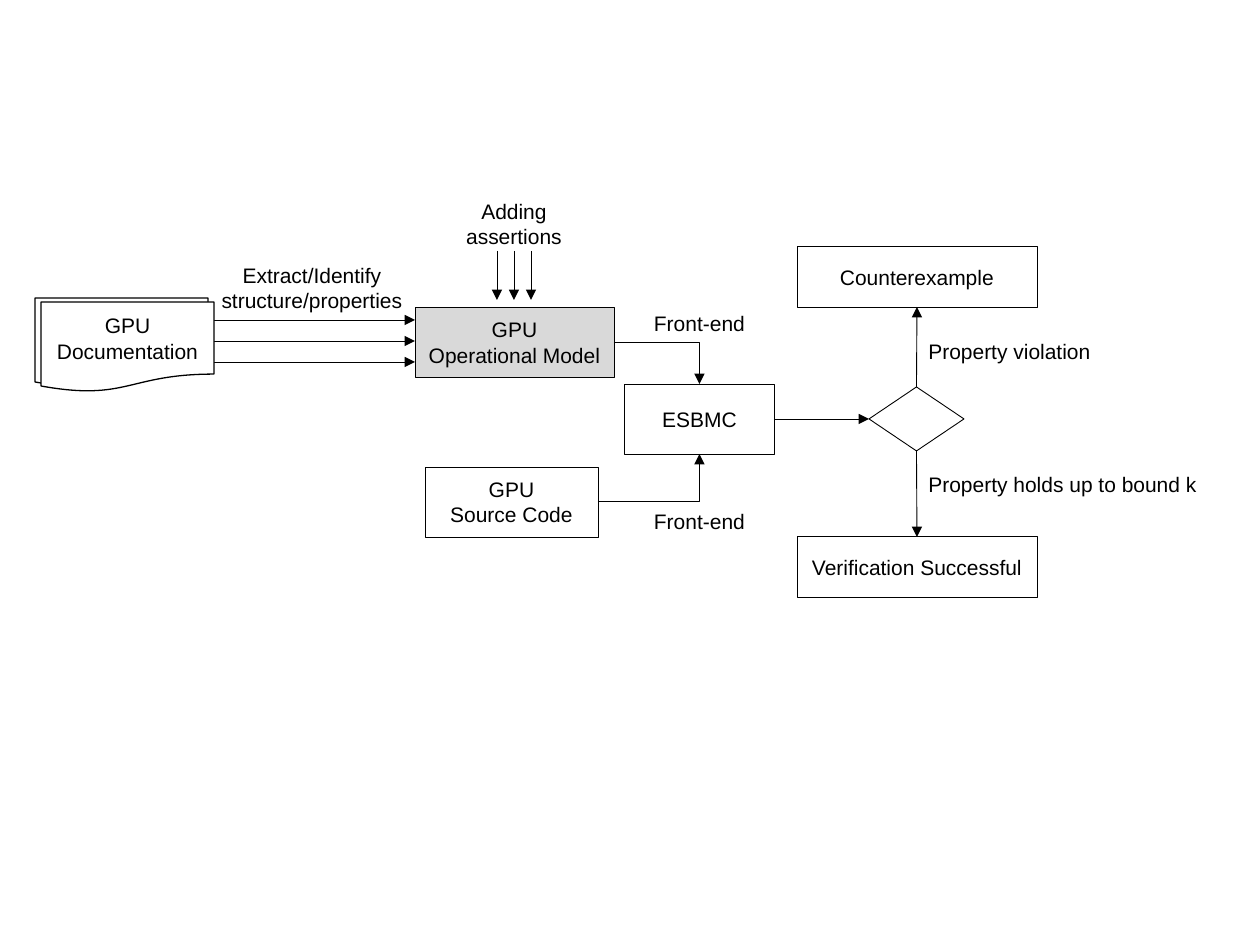
from lxml import etree
from pptx import Presentation
from pptx.dml.color import RGBColor
from pptx.enum.shapes import MSO_CONNECTOR, MSO_SHAPE
from pptx.enum.text import MSO_ANCHOR, MSO_AUTO_SIZE, PP_ALIGN
from pptx.oxml.ns import qn
from pptx.util import Emu, Pt

PROCESS = MSO_SHAPE.FLOWCHART_PROCESS
DECISION = MSO_SHAPE.FLOWCHART_DECISION
DOCUMENT = MSO_SHAPE.FLOWCHART_DOCUMENT
STRAIGHT, ELBOW = MSO_CONNECTOR.STRAIGHT, MSO_CONNECTOR.ELBOW
CENTER, LEFT = PP_ALIGN.CENTER, PP_ALIGN.LEFT
MIDDLE, TOP = MSO_ANCHOR.MIDDLE, MSO_ANCHOR.TOP
GROW = MSO_AUTO_SIZE.SHAPE_TO_FIT_TEXT
TOP_SIDE, LEFT_SIDE, BOTTOM_SIDE, RIGHT_SIDE = range(4)

PX_PER_INCH = 126
BLACK, WHITE, GREY = "000000", "FFFFFF", "D9D9D9"


def px(length):
    return Emu(round(length * 914400 / PX_PER_INCH))


def color(hex_string):
    return RGBColor.from_string(hex_string)


def write_text(shape, lines, alignment, anchor, wrap=True):
    frame = shape.text_frame
    frame.word_wrap = wrap
    frame.vertical_anchor = anchor
    for index, line in enumerate(lines):
        paragraph = frame.add_paragraph() if index else frame.paragraphs[0]
        paragraph.alignment = alignment
        run = paragraph.add_run()
        run.text = line
        run.font.name = "Arial"
        run.font.size = Pt(12)
        run.font.color.rgb = color(BLACK)


def add_node(slide, kind, box, lines=(), fill=WHITE, line_width=0.5):
    shape = slide.shapes.add_shape(kind, *map(px, box))
    shape.shadow.inherit = False
    shape.fill.solid()
    shape.fill.fore_color.rgb = color(fill)
    shape.line.color.rgb = color(BLACK)
    shape.line.width = Pt(line_width)
    write_text(shape, lines, CENTER, MIDDLE)
    return shape


def add_label(slide, box, text, alignment=CENTER, wrap=True):
    label = slide.shapes.add_textbox(*map(px, box))
    write_text(label, [text], alignment, TOP, wrap)
    label.text_frame.auto_size = GROW


def add_arrow(slide, start=(0, 0), end=(0, 0), kind=STRAIGHT):
    arrow = slide.shapes.add_connector(kind, *map(px, (*start, *end)))
    arrow.line.color.rgb = color(BLACK)
    arrow.line.width = Pt(0.5)
    properties = arrow.line._get_or_add_ln()
    etree.SubElement(properties, qn("a:tailEnd"), type="triangle")
    etree.SubElement(arrow._element.spPr, qn("a:effectLst"))
    return arrow


def join(slide, source, source_side, target, target_side, kind=STRAIGHT):
    arrow = add_arrow(slide, kind=kind)
    arrow.begin_connect(source, source_side)
    arrow.end_connect(target, target_side)
    if kind == ELBOW:
        # A single bend: out sideways, then straight into the target
        geometry = arrow._element.spPr.find(qn("a:prstGeom"))
        geometry.set("prst", "bentConnector2")


def add_nodes_and_flow(slide):
    esbmc = add_node(slide, PROCESS, (625, 384, 149, 70), ["ESBMC"])
    decision = add_node(slide, DECISION, (869, 387, 95, 64))
    counterexample = add_node(slide, PROCESS, (797, 247, 240, 60), ["Counterexample"])
    success = add_node(slide, PROCESS, (797, 537, 240, 60), ["Verification Successful"])
    model = add_node(slide, PROCESS, (415, 307, 199, 70),
                     ["GPU", "Operational Model"], GREY)
    source_code = add_node(slide, PROCESS, (425, 467, 173, 70), ["GPU", "Source Code"])

    join(slide, source_code, RIGHT_SIDE, esbmc, BOTTOM_SIDE, ELBOW)
    join(slide, model, RIGHT_SIDE, esbmc, TOP_SIDE, ELBOW)
    join(slide, esbmc, RIGHT_SIDE, decision, LEFT_SIDE)
    join(slide, decision, TOP_SIDE, counterexample, BOTTOM_SIDE)
    join(slide, decision, BOTTOM_SIDE, success, TOP_SIDE)


def add_model_inputs(slide):
    for index in range(3):
        assertion_x = 497 + 17 * index
        add_arrow(slide, (assertion_x, 251), (assertion_x, 300))
        property_y = 320 + 21 * index
        add_arrow(slide, (214, property_y), (415, property_y))
    add_node(slide, DOCUMENT, (35, 298, 173, 90), line_width=0.75)
    add_node(slide, DOCUMENT, (41, 302, 173, 90), ["GPU Documentation"], line_width=0.75)


def add_labels(slide):
    add_label(slide, (419, 192, 190, 63), "Adding assertions")
    add_label(slide, (207, 256, 210, 63), "Extract/Identify structure/properties")
    for top in (304, 502):
        add_label(slide, (625, top, 149, 38), "Front-end")
    add_label(slide, (916, 332, 189, 38), "Property violation", LEFT, False)
    add_label(slide, (916, 465, 296, 38), "Property holds up to bound k", LEFT, False)


def main():
    presentation = Presentation()
    presentation.slide_width = px(1260)
    presentation.slide_height = px(945)
    slide = presentation.slides.add_slide(presentation.slide_layouts[6])
    add_nodes_and_flow(slide)
    add_model_inputs(slide)
    add_labels(slide)
    presentation.save("out.pptx")


if __name__ == "__main__":
    main()
